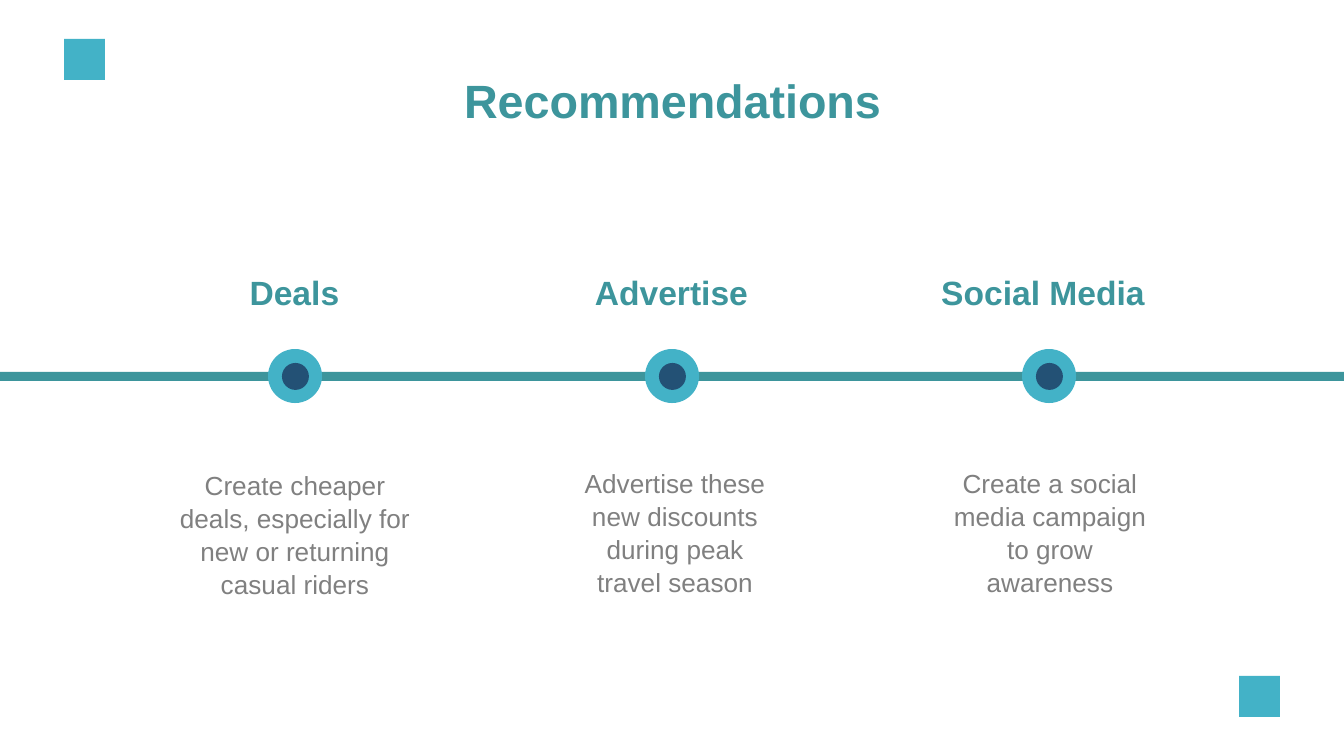
from pptx import Presentation, util as u
from pptx.dml.color import RGBColor
from pptx.enum import shapes, text

EMU_PER_PX = 914400 / 134.4
COLORS = {"teal": "3D959C", "sky": "43B2C7", "navy": "235175", "grey": "808080"}
FONT = "Arial"
WIDTH, HEIGHT = 1344, 756
INSET = 13
MIDDLE = WIDTH // 2
STEP = 377
AXIS_Y = 376

# heading, (left, width), body text, (left, top, width, height)
STAGES = [
    ("Deals", (183, 223),
     "Create cheaper deals, especially for new or returning casual riders",
     (164, 493, 262, 82)),
    ("Advertise", (560, 223),
     "Advertise these new discounts during peak travel season",
     (560, 499, 230, 66)),
    ("Social Media", (922, 242),
     "Create a social media campaign to grow awareness",
     (935, 499, 230, 66)),
]


def px(value):
    return u.Emu(round(value * EMU_PER_PX))


class SlideBuilder:
    """Holds the style and the current slide."""

    def __init__(self, slide):
        self.slide = slide

    def set_text(self, box, words, size, color, bold=False, spacing=1.0):
        """Format a text holder and fill it with one centred run."""
        frame = box.text_frame
        frame.word_wrap = True
        frame.auto_size = text.MSO_AUTO_SIZE.NONE
        frame.vertical_anchor = text.MSO_ANCHOR.MIDDLE
        frame.margin_left = frame.margin_right = px(INSET)
        frame.margin_top = frame.margin_bottom = px(INSET)
        para = frame.paragraphs[0]
        para.alignment = text.PP_ALIGN.CENTER
        para.line_spacing = spacing
        span = para.add_run()
        span.text = words
        span.font.name = FONT
        span.font.size = u.Pt(size)
        span.font.bold = bold
        span.font.color.rgb = RGBColor.from_string(COLORS[color])

    def title(self, words, left, top, width, height):
        box = self.slide.shapes.title
        box.left, box.top = px(left), px(top)
        box.width, box.height = px(width), px(height)
        self.set_text(box, words, 25, "teal", bold=True)

    def label(self, words, left, top, width, height, **style):
        box = self.slide.shapes.add_textbox(
            px(left), px(top), px(width), px(height))
        self.set_text(box, words, **style)

    def shape(self, kind, left, top, width, height, color):
        shape = self.slide.shapes.add_shape(
            kind, px(left), px(top), px(width), px(height))
        shape.shadow.inherit = False
        shape.fill.solid()
        shape.fill.fore_color.rgb = RGBColor.from_string(COLORS[color])
        shape.line.fill.background()

    def rectangle(self, left, top, width, height, color):
        self.shape(shapes.MSO_SHAPE.RECTANGLE, left, top, width, height, color)

    def marker(self, center_x, center_y):
        """Draw a timeline dot: a small disc on a larger one."""
        for size, color in ((54, "sky"), (27, "navy")):
            self.shape(shapes.MSO_SHAPE.OVAL, center_x - size // 2,
                       center_y - size // 2, size, size, color)


def main():
    deck = Presentation()
    deck.slide_width, deck.slide_height = px(WIDTH), px(HEIGHT)
    page = SlideBuilder(deck.slides.add_slide(deck.slide_layouts[5]))

    for left, top in ((64, 39), (1239, 676)):
        page.rectangle(left, top, 41, 41, "sky")
    page.title("Recommendations", 106, 79, 1133, 41)

    page.rectangle(0, 372, WIDTH, 9, "teal")
    for index, (heading, (left, width), body, body_box) in enumerate(STAGES):
        page.label(heading, left, 271, width, 42,
                   size=18, color="teal", bold=True)
        page.label(body, *body_box, size=14, color="grey", spacing=1.05)
        page.marker(MIDDLE + (index - 1) * STEP, AXIS_Y)

    deck.save("out.pptx")


if __name__ == "__main__":
    main()
